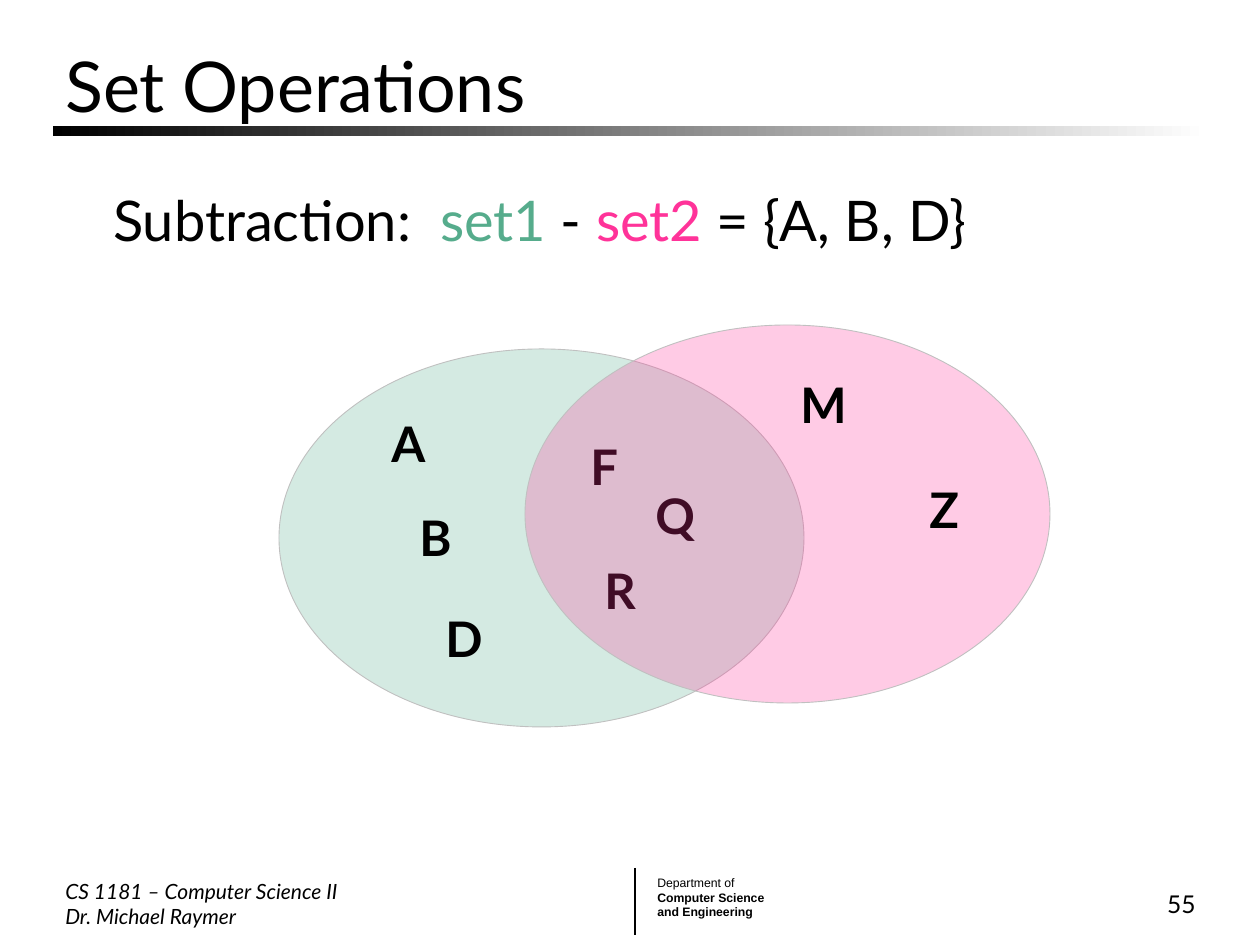
from pptx import Presentation
from pptx import util as u
from pptx.dml.color import RGBColor
from pptx.enum import shapes as sh, text as tx
from pptx.oxml import parse_xml
from pptx.oxml.ns import nsdecls, qn
from lxml import etree

# Theme
THEME = {
    "font": "Lato", "dept": "Arial",
    "ink": "000000", "paper": "FFFFFF", "edge": "C0C0C0",
    "set1": "56AC8C", "set2": "FF3399",
    "title": 40, "body": 32, "item": 28, "page": 14, "foot": 12, "small": 7,
}

# Content: text lines are lists of (words, colour key); places are in px
TITLE = "Set Operations"
RULE = [("Subtraction:  ", "ink"), ("set1", "set1"), (" - ", "ink"),
        ("set2", "set2"), (" = {A, B, D}", "ink")]
COURSE = "CS 1181 – Computer Science II\vDr. Michael Raymer"
DEPT = [("Department of", False), ("Computer Science", True),
        ("and Engineering", True)]
PAGE = "55"
OVAL = (525, 378)
# Back to front: each set's corner, then the letters lying on top of it
SETS = [
    ("set1", (279, 349), [("A", 379, 407, 53), ("B", 407, 501, 53),
                          ("R", 592, 554, 54), ("F", 578, 430, 50),
                          ("Q", 643, 479, 55), ("D", 433, 602, 55)]),
    ("set2", (525, 325), [("M", 788, 368, 66), ("Z", 917, 473, 54)]),
]
ITEM_H = 72
LEFT, WIDE = 53, 1155


def px(n):
    return u.Emu(round(n * 914400 / 126))


def rgb(key):
    return RGBColor.from_string(THEME[key])


def style(par, size, font="font", bold=False, italic=False):
    f = par.font
    f.name, f.size = THEME[font], u.Pt(THEME[size])
    f.bold, f.italic = bold, italic
    f.color.rgb = rgb("ink")


def box(at, mid=False, wrap=True):
    frame = slide.shapes.add_textbox(*map(px, at)).text_frame
    frame.word_wrap = wrap
    if not wrap:
        frame.auto_size = tx.MSO_AUTO_SIZE.SHAPE_TO_FIT_TEXT
    if mid:
        frame.vertical_anchor = tx.MSO_ANCHOR.MIDDLE
    return frame


def label(words, at, size, mid=True, wrap=True, **look):
    par = box(at, mid, wrap).paragraphs[0]
    par.text = words
    style(par, size, **look)
    return par


def shape(kind, at):
    s = slide.shapes.add_shape(kind, *map(px, at))
    s.shadow.inherit = False
    return s


def oval(key, spot):
    s = shape(sh.MSO_SHAPE.OVAL, spot + OVAL)
    s.fill.solid()
    s.fill.fore_color.rgb = rgb(key)
    clr = s._element.spPr.find(qn("a:solidFill"))[0]
    etree.SubElement(clr, qn("a:alpha")).set("val", "25000")
    s.line.color.rgb = rgb("edge")
    s.line.width = u.Pt(0.5)


deck = Presentation()
deck.slide_width, deck.slide_height = px(1260), px(945)
slide = deck.slides.add_slide(deck.slide_layouts[6])

# Fading bar under the title
bar = shape(sh.MSO_SHAPE.RECTANGLE, (LEFT, 126, WIDE, 10))
bar.fill.gradient()
bar.fill.gradient_angle = 0
for stop, key, pos in zip(bar.fill.gradient_stops, ("ink", "paper"), (0, 1)):
    stop.color.rgb, stop.position = rgb(key), pos
bar.line.fill.background()

# Department mark
line = slide.shapes.add_connector(sh.MSO_CONNECTOR.STRAIGHT,
                                  px(635), px(868), px(635), px(935))
line.line.color.rgb = rgb("ink")
line.line.width = u.Pt(1.5)
line._element.spPr.append(parse_xml(f"<a:effectLst {nsdecls('a')}/>"))
dept = box((645, 869, 134, 57), wrap=False)
for i, (words, bold) in enumerate(DEPT):
    par = dept.add_paragraph() if i else dept.paragraphs[0]
    par.text = words
    style(par, "small", font="dept", bold=bold)

# Title and footer
label(TITLE, (LEFT, 42, WIDE, 84), "title")
label(COURSE, (LEFT, 872, 315, 63), "foot", italic=True)
page = label(PAGE, (945, 872, 263, 63), "page")
page.alignment = tx.PP_ALIGN.RIGHT

# Sets and their members
for key, spot, items in SETS:
    oval(key, spot)
    for name, x, y, w in items:
        label(name, (x, y, w, ITEM_H), "item", mid=False, wrap=False, bold=True)

# Subtraction rule, indented
rule = box((LEFT, 179, WIDE, 101))
rule.margin_left = px(60)
par = rule.paragraphs[0]
style(par, "body")
for words, key in RULE:
    run = par.add_run()
    run.text = words
    run.font.color.rgb = rgb(key)

deck.save("out.pptx")
